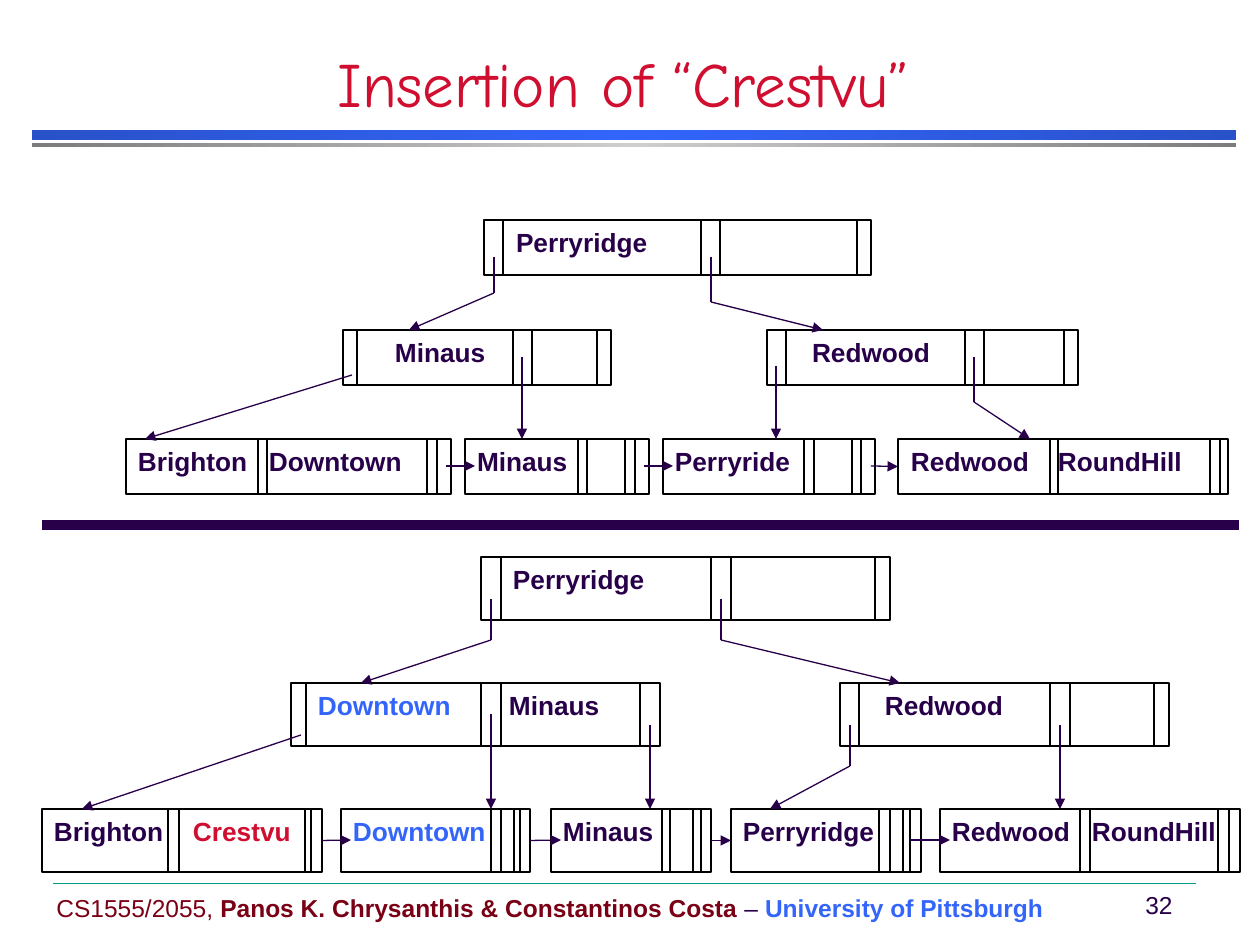
"""Build the slide that shows a tree before and after inserting Crestvu."""
from copy import deepcopy
from itertools import pairwise

from pptx import Presentation
from pptx.dml.color import RGBColor
from pptx.enum.shapes import MSO_CONNECTOR as Link, MSO_SHAPE as Form
from pptx.enum.text import MSO_ANCHOR as Anchor, MSO_AUTO_SIZE as Auto, PP_ALIGN as Align
from pptx.oxml.ns import qn
from pptx.util import Emu, Pt

SCALE = 914400 / 126
INK, BLUE, RED, WINE = "280049", "3365FB", "CF0E30", "790015"
BLACK, WHITE, TEAL = "000000", "FFFFFF", "009688"

BANDS = [
    (130, 10, ("2951C9", BLUE, "2951C9")),
    (143, 4, ("7C7C7C", "CECECE", "7C7C7C")),
]
FOOT = [
    ("CS1555/2055, ", WINE, False),
    ("Panos K. Chrysanthis & Constantinos Costa", WINE, True),
    (" – ", INK, False),
    ("University of Pittsburgh", BLUE, True),
]
TREES = [
    {
        "high": 55,
        "rows": [
            (220, [(484, 387, (503, 701, 720, 857), [("Perryridge", 516, INK)])]),
            (330, [
                (343, 268, (357, 513, 532, 597), [("Minaus", 395, INK)]),
                (767, 311, (786, 965, 984, 1064), [("Redwood", 812, INK)]),
            ]),
            (439, [
                (126, 325, (258, 267, 427, 437),
                 [("Brighton", 138, INK), ("Downtown", 269, INK)]),
                (465, 184, (578, 587, 625, 635), [("Minaus", 477, INK)]),
                (663, 212, (804, 814, 852, 861), [("Perryride", 675, INK)]),
                (898, 330, (1050, 1058, 1210, 1220),
                 [("Redwood", 911, INK), ("RoundHill", 1058, INK)]),
            ]),
        ],
        "arrows": [
            [(494, 257), (494, 293), (409, 330)],
            [(711, 257), (711, 302), (823, 330)],
            [(352, 375), (145, 439)],
            [(522, 357), (522, 439)],
            [(776, 366), (776, 439)],
            [(974, 357), (974, 402), (1030, 439)],
            [(446, 466), (475, 466)],
            [(644, 466), (673, 466)],
            [(871, 466), (898, 466)],
        ],
    },
    {
        "high": 63,
        "rows": [
            (557, [(481, 409, (501, 711, 731, 875), [("Perryridge", 513, INK)])]),
            (683, [
                (291, 369, (306, 481, 501, 640),
                 [("Downtown", 318, BLUE), ("Minaus", 509, INK)]),
                (840, 329, (859, 1050, 1070, 1154), [("Redwood", 885, INK)]),
            ]),
            (809, [
                (42, 280, (168, 179, 305, 311),
                 [("Brighton", 54, INK), ("Crestvu", 193, RED)]),
                (341, 189, (491, 501, 514, 520), [("Downtown", 353, BLUE)]),
                (551, 160, (662, 670, 693, 701), [("Minaus", 563, INK)]),
                (731, 190, (879, 890, 903, 910), [("Perryridge", 743, INK)]),
                (940, 300, (1080, 1090, 1218, 1229),
                 [("Redwood", 952, INK), ("RoundHill", 1092, INK)]),
            ]),
        ],
        "arrows": [
            [(491, 599), (491, 640), (361, 683)],
            [(721, 599), (721, 640), (900, 683)],
            [(301, 735), (82, 809)],
            [(491, 714), (491, 809)],
            [(650, 725), (650, 809)],
            [(850, 725), (850, 766), (770, 809)],
            [(1060, 725), (1060, 809)],
            [(322, 840), (351, 840)],
            [(530, 840), (561, 840)],
            [(711, 840), (731, 840)],
            [(910, 840), (950, 840)],
        ],
    },
]


def px(n):
    return Emu(round(n * SCALE))


def tint(code):
    return RGBColor.from_string(code)


def write(para, text, size=15, color=INK, bold=False, font="Arial"):
    run = para.add_run()
    run.text = text
    run.font.size, run.font.bold, run.font.name = Pt(size), bold, font
    run.font.color.rgb = tint(color)


def rule(slide, start, end, color=BLACK, width=0.75, head=False):
    line = slide.shapes.add_connector(Link.STRAIGHT, *map(px, start + end))
    line.line.color.rgb, line.line.width = tint(color), Pt(width)
    props = line._element.spPr
    props.append(props.makeelement(qn("a:effectLst"), {}))
    if head:
        ln = line.get_or_add_ln()
        ln.append(ln.makeelement(qn("a:tailEnd"), {"type": "triangle"}))
    return line


def box(slide, x, y, w, h):
    shape = slide.shapes.add_shape(Form.RECTANGLE, *map(px, (x, y, w, h)))
    shape.shadow.inherit = False
    return shape


def band(slide, y, high, colors):
    shape = box(slide, 32, y, 1204, high)
    shape.line.fill.background()
    shape.fill.gradient()
    shape.fill.gradient_angle = 0
    stops = shape._element.spPr.find(".//" + qn("a:gsLst"))
    stops.append(deepcopy(stops[0]))
    for i, (stop, color) in enumerate(zip(shape.fill.gradient_stops, colors)):
        stop.color.rgb, stop.position = tint(color), i / 2


def label(slide, place, parts, align=Align.LEFT):
    frame = slide.shapes.add_textbox(*map(px, place)).text_frame
    frame.word_wrap, frame.vertical_anchor = True, Anchor.MIDDLE
    para = frame.paragraphs[0]
    para.alignment = align
    for text, color, bold in parts:
        write(para, text, size=14, color=color, bold=bold)


def node(slide, x, y, w, h, cuts, keys):
    shape = box(slide, x, y, w, h)
    shape.fill.solid()
    shape.fill.fore_color.rgb = tint(WHITE)
    shape.line.color.rgb, shape.line.width = tint(BLACK), Pt(0.75)
    frame = shape.text_frame
    left = keys[0][1]
    frame.word_wrap, frame.vertical_anchor = True, Anchor.TOP
    frame.margin_left, frame.margin_right = px(left - x), 0
    para = frame.paragraphs[0]
    para.alignment = Align.LEFT
    props = para._p.get_or_add_pPr()
    tabs = props.makeelement(qn("a:tabLst"), {})
    for _, spot, _ in keys[1:]:
        tabs.append(tabs.makeelement(qn("a:tab"), {"pos": str(px(spot - left)), "algn": "l"}))
    props.append(tabs)
    for i, (text, _, color) in enumerate(keys):
        write(para, "\t" * (i > 0) + text, color=color, bold=True)
    for cut in cuts:
        rule(slide, (cut, y), (cut, y + h))
    return shape


def tree(slide, high, rows, arrows):
    sides = {}
    for y, nodes in rows:
        for x, w, cuts, keys in nodes:
            shape = node(slide, x, y, w, high, cuts, keys)
            mid = y + high // 2
            sides[x, mid], sides[x + w, mid] = (shape, 1), (shape, 3)
    for points in arrows:
        for start, end in pairwise(points):
            line = rule(slide, start, end, color=INK, head=end == points[-1])
            if start in sides:
                line.begin_connect(*sides[start])
            if end in sides:
                line.end_connect(*sides[end])


def main():
    deck = Presentation()
    deck.slide_width, deck.slide_height = px(1260), px(945)
    slide = deck.slides.add_slide(deck.slide_layouts[5])
    title = slide.shapes.title
    title.left, title.top, title.width, title.height = map(px, (0, 53, 1247, 73))
    frame = title.text_frame
    frame.auto_size, frame.vertical_anchor = Auto.NONE, Anchor.BOTTOM
    frame.paragraphs[0].alignment = Align.CENTER
    write(frame.paragraphs[0], "Insertion of “Crestvu”", size=36, color=RED, font="Comic Neue")
    for item in BANDS:
        band(slide, *item)
    label(slide, (44, 887, 1071, 42), FOOT)
    label(slide, (1128, 884, 62, 42), [("32", INK, False)], Align.CENTER)
    rule(slide, (53, 883), (1196, 883), color=TEAL, width=0.25)
    for item in TREES:
        tree(slide, **item)
    rule(slide, (42, 525), (1239, 525), color=INK, width=6)
    deck.save("out.pptx")


if __name__ == "__main__":
    main()
